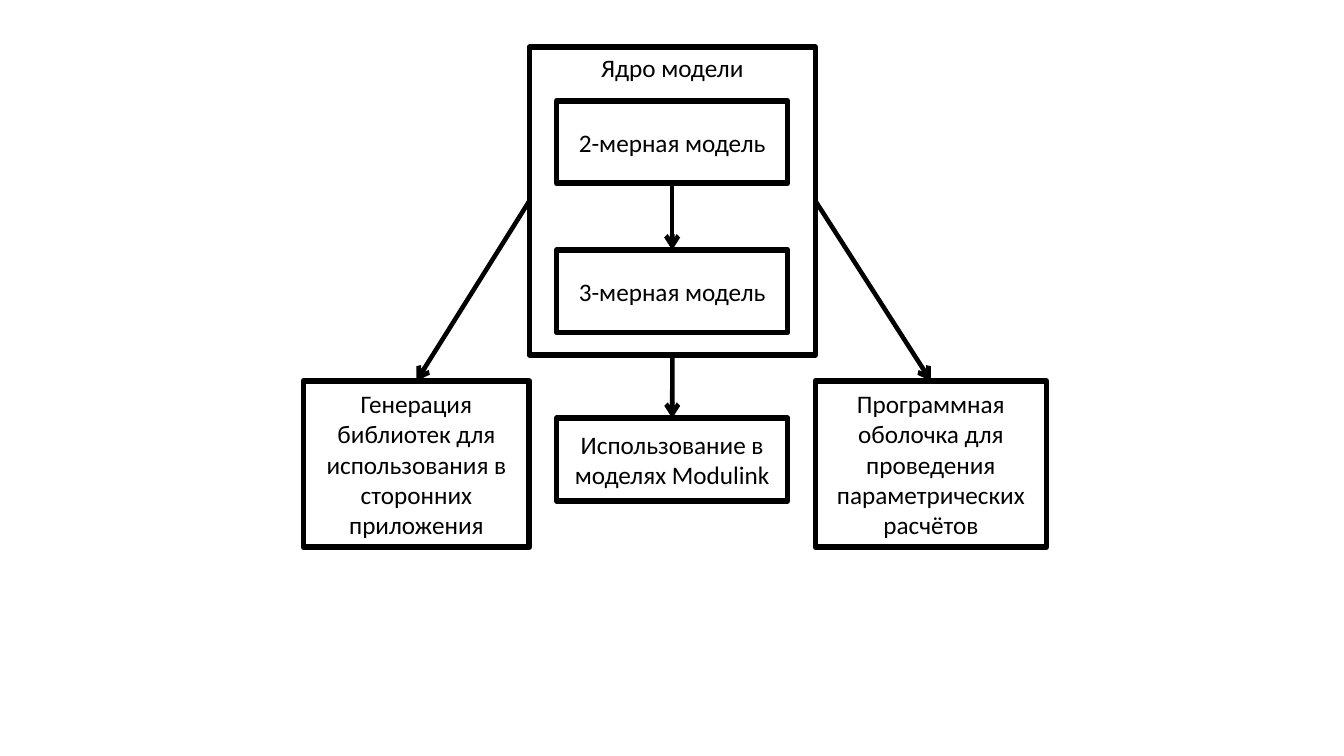
"""Draws the model core and the three ways it is used."""
from dataclasses import dataclass

from lxml.etree import SubElement as Sub
from pptx import Presentation
from pptx.dml.color import RGBColor as Color
from pptx.enum.shapes import MSO_CONNECTOR as Link, MSO_SHAPE as Kind
from pptx.enum.text import MSO_ANCHOR as Anchor, PP_ALIGN as Align
from pptx.oxml.ns import qn
from pptx.util import Cm, Pt

TOP, LEFT, BOTTOM, RIGHT = range(4)


@dataclass(frozen=True)
class Theme:
    font: str = "Calibri"
    size: float = 18
    ink: str = "000000"
    paper: str = "FFFFFF"
    frame: float = 4
    arrow: float = 3.25


def write(frame, text, *, font, size, color, anchor=Anchor.MIDDLE, align=Align.CENTER):
    frame.word_wrap = True
    frame.vertical_anchor = anchor
    para = frame.paragraphs[0]
    para.alignment = align
    run = para.add_run()
    run.text = text
    run.font.name = font
    run.font.size = Pt(size)
    run.font.color.rgb = Color.from_string(color)


class Board:
    def __init__(self, slide, theme):
        self.slide = slide
        self.theme = theme

    def line(self, item, width):
        item.line.color.rgb = Color.from_string(self.theme.ink)
        item.line.width = Pt(width)

    def box(self, text, x, y, w, h, anchor=Anchor.MIDDLE):
        look = self.theme
        box = self.slide.shapes.add_shape(Kind.RECTANGLE, Cm(x), Cm(y), Cm(w), Cm(h))
        box.shadow.inherit = False
        box.fill.solid()
        box.fill.fore_color.rgb = Color.from_string(look.paper)
        self.line(box, look.frame)
        write(box.text_frame, text, font=look.font, size=look.size,
              color=look.ink, anchor=anchor)
        return box

    def arrow(self, start, side, end):
        link = self.slide.shapes.add_connector(Link.STRAIGHT, 0, 0, 0, 0)
        link.begin_connect(start, side)
        link.end_connect(end, TOP)
        self.line(link, self.theme.arrow)
        Sub(link.line._get_or_add_ln(), qn("a:tailEnd"), type="arrow")
        Sub(link._element.spPr, qn("a:effectLst"))


def main():
    deck = Presentation()
    deck.slide_width, deck.slide_height = Cm(33.87), Cm(19.05)
    board = Board(deck.slides.add_slide(deck.slide_layouts[6]), Theme())

    mid, wide, low = 14.03, 5.82, 2.08
    side, tall = 9.6, 4.19
    core = board.box("Ядро модели", 13.34, 1.19, 7.21, 7.75, Anchor.TOP)
    libs = board.box("Генерация библиотек для использования в сторонних приложения",
                     7.65, side, 5.69, tall)
    use = board.box("Использование в моделях Modulink", mid, 10.54, wide, low)
    shell = board.box("Программная оболочка для проведения параметрических расчётов",
                      20.55, side, wide, tall)
    flat, solid = [board.box(f"{dim}-мерная модель", mid, y, wide, low)
                   for dim, y in ((2, 2.54), (3, 6.3))]

    for start, edge, end in ((core, BOTTOM, use), (core, RIGHT, shell),
                             (core, LEFT, libs), (flat, BOTTOM, solid)):
        board.arrow(start, edge, end)

    deck.save("out.pptx")


if __name__ == "__main__":
    main()
